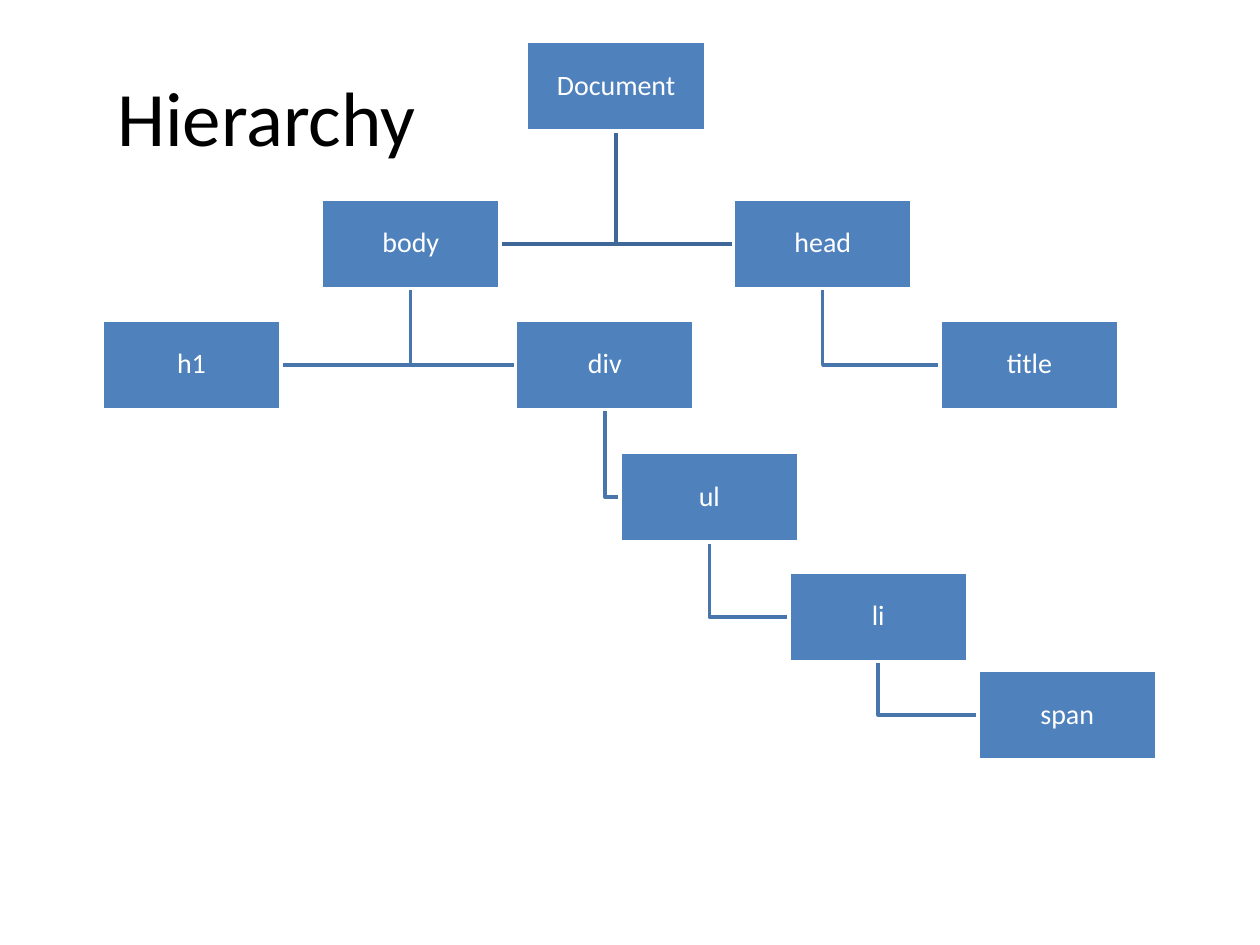
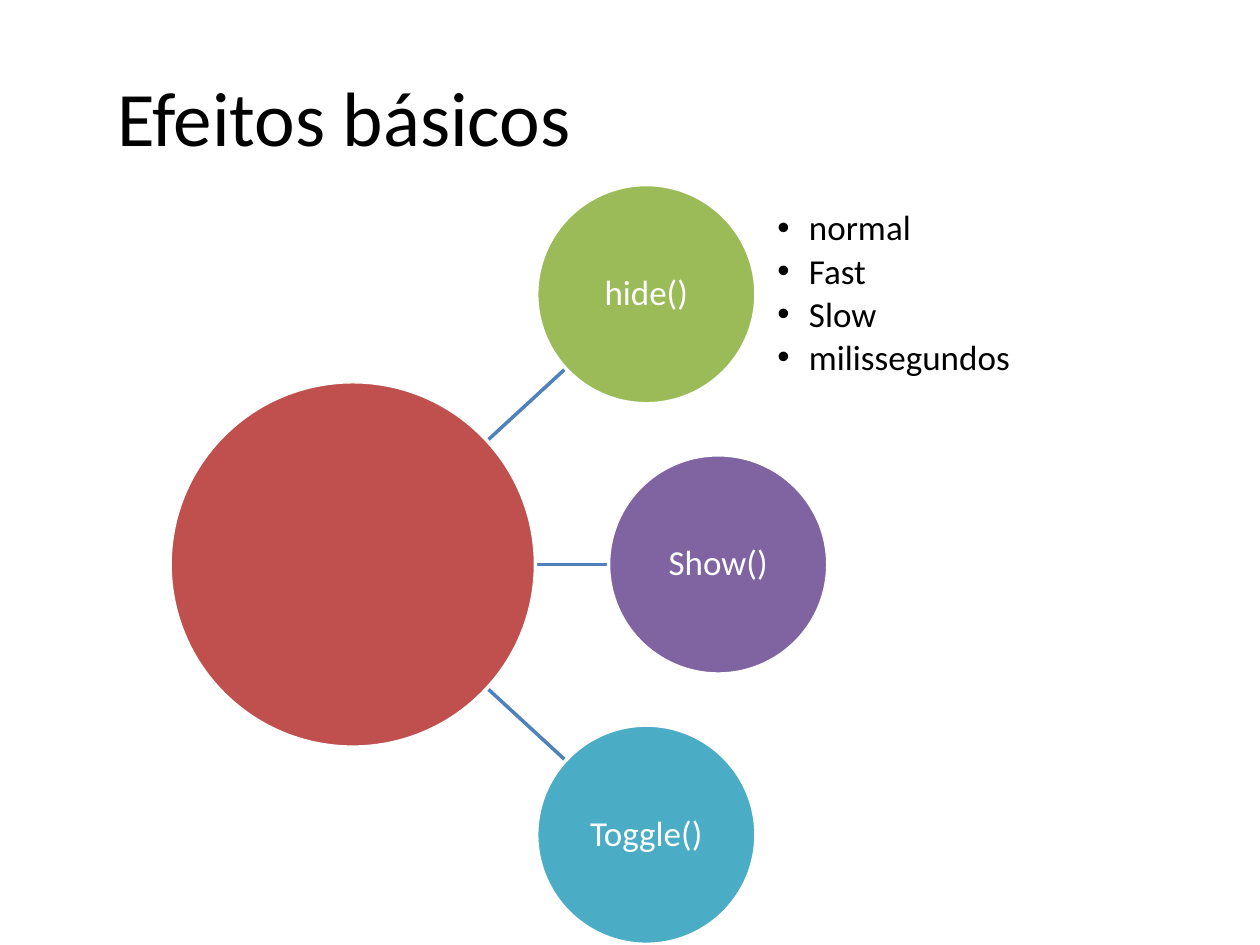
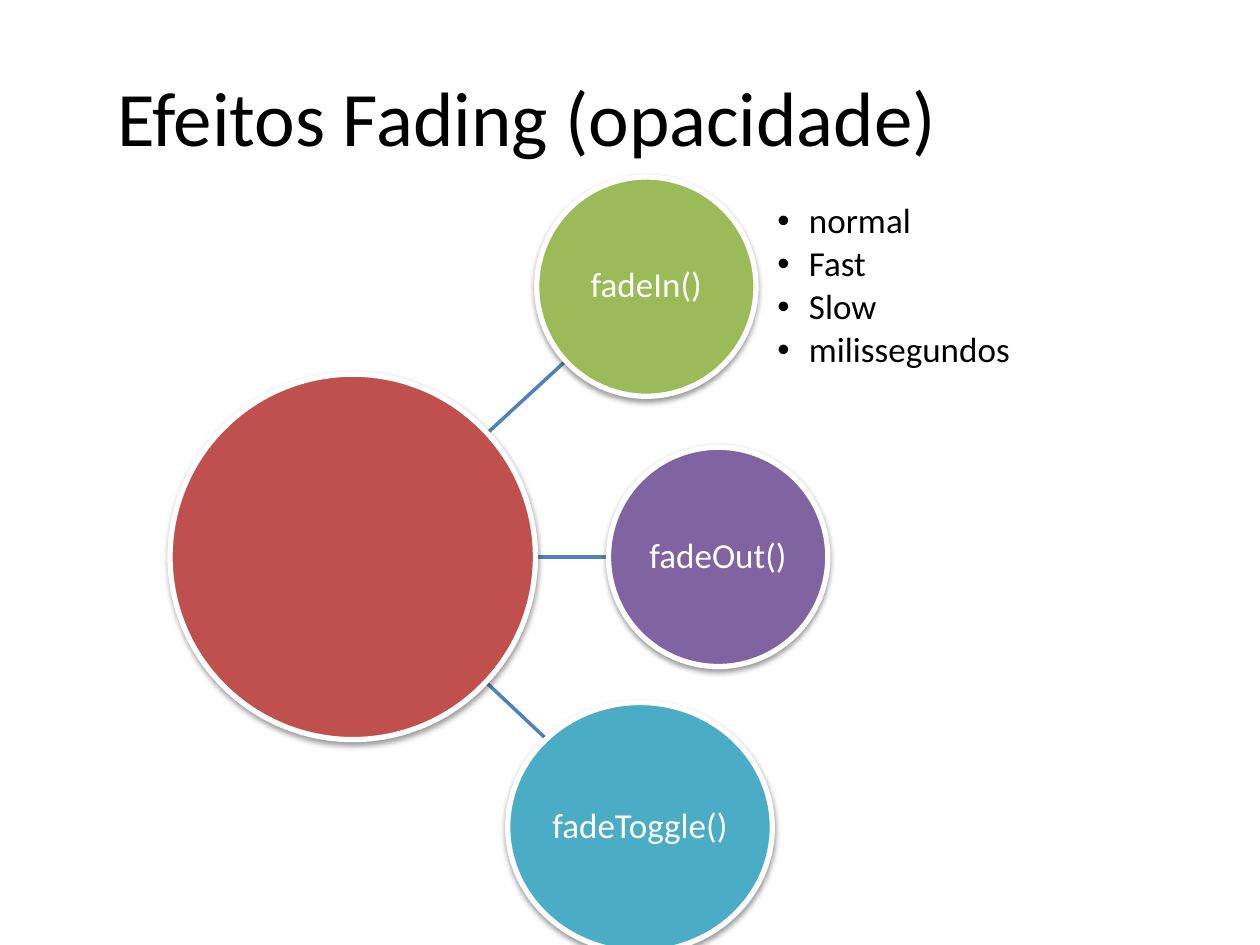
from dataclasses import dataclass
from math import hypot, sqrt

from lxml import etree
from pptx import Presentation
from pptx import util as u
from pptx.dml.color import RGBColor
from pptx.enum import shapes, text
from pptx.oxml import ns

FONT = "Calibri"
BLACK = RGBColor(0x00, 0x00, 0x00)
WHITE = RGBColor(0xFF, 0xFF, 0xFF)
BLUE = RGBColor(0x4F, 0x81, 0xBD)
TRUNK_BLUE = RGBColor(0x3F, 0x67, 0x97)
BRANCH_BLUE = RGBColor(0x48, 0x75, 0xAC)
RED = RGBColor(0xC0, 0x50, 0x4D)
GREEN = RGBColor(0x9B, 0xBB, 0x59)
PURPLE = RGBColor(0x80, 0x64, 0xA2)
TEAL = RGBColor(0x4B, 0xAC, 0xC6)

# The page is a grid of 100 columns by 75 rows, with square cells.
COLUMNS, ROWS = 100, 75
PAGE_WIDTH, PAGE_HEIGHT = u.Inches(10), u.Inches(7.5)
CELL = PAGE_WIDTH // COLUMNS
TITLE_AND_LIST, TITLE_ONLY = 1, 5

NODE_WIDTH, NODE_HEIGHT = 14.2, 7.1
HUB_X, HUB_SIZE = 28.0, 29.0
SATELLITE_SIZE = 17.4
NEAR_X, FAR_X = 51.3, 57.0
SATELLITE_STEP = 21.45
LIST_LEFT, LIST_WIDTH = 61.7, 26.1
SPEEDS = ["normal", "Fast", "Slow", "milissegundos"]


@dataclass(frozen=True)
class Node:
    name: str
    left: float
    top: float
    parent: str = ""

    @property
    def middle_x(self) -> float:
        return self.left + NODE_WIDTH / 2

    @property
    def middle_y(self) -> float:
        return self.top + NODE_HEIGHT / 2


@dataclass(frozen=True)
class Satellite:
    label: str
    colour: RGBColor
    x: float
    step: int
    width: float = SATELLITE_SIZE
    height: float = SATELLITE_SIZE


@dataclass(frozen=True)
class Radial:
    title: str
    hub_y: float
    satellites: list[Satellite]
    outline: float
    shadow: bool = False


TREE = [
    Node("Document", 41.8, 3.3),
    Node("body", 25.5, 15.8, "Document"),
    Node("h1", 8.1, 25.4, "body"),
    Node("div", 40.9, 25.4, "body"),
    Node("ul", 49.2, 35.9, "div"),
    Node("li", 62.6, 45.4, "ul"),
    Node("span", 77.6, 53.2, "li"),
    Node("head", 58.2, 15.8, "Document"),
    Node("title", 74.6, 25.4, "head"),
]

RADIALS = [
    Radial("Efeitos básicos", 44.8, [
        Satellite("hide()", GREEN, NEAR_X, -1),
        Satellite("Show()", PURPLE, FAR_X, 0),
        Satellite("Toggle()", TEAL, NEAR_X, 1),
    ], outline=2),
    Radial("Efeitos Fading (opacidade)", 44.2, [
        Satellite("fadeIn()", GREEN, NEAR_X, -1),
        Satellite("fadeOut()", PURPLE, FAR_X, 0),
        Satellite("fadeToggle()", TEAL, 50.8, 1, 21.0, 19.8),
    ], outline=3, shadow=True),
]


def grid(*cells: float) -> list[int]:
    """Turn counts of columns or rows into lengths."""
    return [round(cell * CELL) for cell in cells]


def format_runs(para, size: float, colour: RGBColor) -> None:
    for span in para.runs:
        span.font.name = FONT
        span.font.size = u.Pt(size)
        span.font.color.rgb = colour


def set_insets(frame, inset: int) -> None:
    frame.margin_left = frame.margin_right = inset
    frame.margin_top = frame.margin_bottom = inset


def place(holder, left: float, top: float, width: float, height: float) -> None:
    holder.left, holder.top, holder.width, holder.height = grid(left, top, width, height)
    holder.text_frame.auto_size = text.MSO_AUTO_SIZE.NONE
    holder.text_frame.vertical_anchor = text.MSO_ANCHOR.MIDDLE


def add_page(deck, layout: int, title: str):
    page = deck.slides.add_slide(deck.slide_layouts[layout])
    holder = page.shapes.title
    place(holder, 8.3, 2.9, 88.3, 12.5)
    holder.text_frame.text = title
    para = holder.text_frame.paragraphs[0]
    para.alignment = text.PP_ALIGN.LEFT
    format_runs(para, 44, BLACK)
    return page


def add_figure(page, kind, left: float, top: float, width: float, height: float,
               fill: RGBColor, outline: float, label: str = "", size: float = 16):
    """Add a filled shape with a white outline and a centred label."""
    figure = page.shapes.add_shape(kind, *grid(left, top, width, height))
    figure.shadow.inherit = False
    figure.fill.solid()
    figure.fill.fore_color.rgb = fill
    figure.line.color.rgb = WHITE
    figure.line.width = u.Pt(outline)
    if label:
        frame = figure.text_frame
        frame.text = label
        frame.word_wrap = True
        frame.vertical_anchor = text.MSO_ANCHOR.MIDDLE
        set_insets(frame, u.Inches(0.01))
        para = frame.paragraphs[0]
        para.alignment = text.PP_ALIGN.CENTER
        para.line_spacing = 0.9
        format_runs(para, size, WHITE)
    return figure


def add_shadow(figure) -> None:
    effects = figure._element.spPr.find(ns.qn("a:effectLst"))
    shadow = etree.SubElement(effects, ns.qn("a:outerShdw"), blurRad=str(u.Pt(3.1)),
                              dist=str(u.Pt(1.6)), dir="5400000", rotWithShape="0")
    colour = etree.SubElement(shadow, ns.qn("a:srgbClr"), val=str(BLACK))
    etree.SubElement(colour, ns.qn("a:alpha"), val="38000")


def add_branch(page, parent: Node, child: Node) -> None:
    """Draw an elbow from below the parent to the facing side of the child."""
    facing_x = child.left if child.middle_x > parent.middle_x else child.left + NODE_WIDTH
    start = grid(parent.middle_x, parent.top + NODE_HEIGHT)
    corner = grid(parent.middle_x, child.middle_y)
    end = grid(facing_x, child.middle_y)
    builder = page.shapes.build_freeform(*start, scale=1.0)
    builder.add_line_segments([corner, end], close=False)
    branch = builder.convert_to_shape()
    branch.shadow.inherit = False
    branch.fill.background()
    branch.line.color.rgb = BRANCH_BLUE if parent.parent else TRUNK_BLUE
    branch.line.width = u.Pt(2)


def add_spoke(page, hub_y: float, satellite: Satellite) -> None:
    """Draw a line along the two centres, from inside the hub to the satellite's edge."""
    run = satellite.x - HUB_X
    rise = satellite.step * SATELLITE_STEP
    start_x = HUB_SIZE / 2 / sqrt(2)
    reach = 1 - 1 / hypot(run / (satellite.width / 2), rise / (satellite.height / 2))
    spoke = page.shapes.add_connector(
        shapes.MSO_CONNECTOR.STRAIGHT,
        *grid(HUB_X + start_x, hub_y + rise * start_x / run,
              HUB_X + run * reach, hub_y + rise * reach))
    spoke.line.color.rgb = BLUE
    spoke.line.width = u.Pt(2)
    etree.SubElement(spoke._element.spPr, ns.qn("a:effectLst"))


def add_circle(page, radial: Radial, x: float, y: float, width: float, height: float,
               colour: RGBColor, label: str = "") -> None:
    circle = add_figure(page, shapes.MSO_SHAPE.OVAL, x - width / 2, y - height / 2,
                        width, height, colour, radial.outline, label, 20)
    if radial.shadow:
        add_shadow(circle)


def fill_list(holder, top: float, items: list[str]) -> None:
    place(holder, LIST_LEFT, top, LIST_WIDTH, SATELLITE_SIZE)
    frame = holder.text_frame
    set_insets(frame, 0)
    frame.text = "\n".join(items)
    for para in frame.paragraphs:
        para.line_spacing = 0.9
        para.space_before = u.Pt(0)
        para.space_after = u.Pt(3)
        properties = para._p.get_or_add_pPr()
        properties.set("marL", str(u.Inches(0.25)))
        properties.set("indent", str(-u.Inches(0.25)))
        format_runs(para, 20, BLACK)


def add_tree_page(deck) -> None:
    page = add_page(deck, TITLE_ONLY, "Hierarchy")
    by_name = {node.name: node for node in TREE}
    for node in TREE:
        if node.parent:
            add_branch(page, by_name[node.parent], node)
    for node in TREE:
        add_figure(page, shapes.MSO_SHAPE.RECTANGLE, node.left, node.top,
                   NODE_WIDTH, NODE_HEIGHT, BLUE, 2, node.name)


def add_radial_page(deck, radial: Radial) -> None:
    page = add_page(deck, TITLE_AND_LIST, radial.title)
    for satellite in radial.satellites:
        add_spoke(page, radial.hub_y, satellite)
    add_circle(page, radial, HUB_X, radial.hub_y, HUB_SIZE, HUB_SIZE, RED)
    for satellite in radial.satellites:
        add_circle(page, radial, satellite.x, radial.hub_y + satellite.step * SATELLITE_STEP,
                   satellite.width, satellite.height, satellite.colour, satellite.label)
    fill_list(page.placeholders[1], radial.hub_y - SATELLITE_STEP - SATELLITE_SIZE / 2, SPEEDS)


def main() -> None:
    deck = Presentation()
    deck.slide_width, deck.slide_height = PAGE_WIDTH, PAGE_HEIGHT
    add_tree_page(deck)
    for radial in RADIALS:
        add_radial_page(deck, radial)
    deck.save("out.pptx")


if __name__ == "__main__":
    main()
